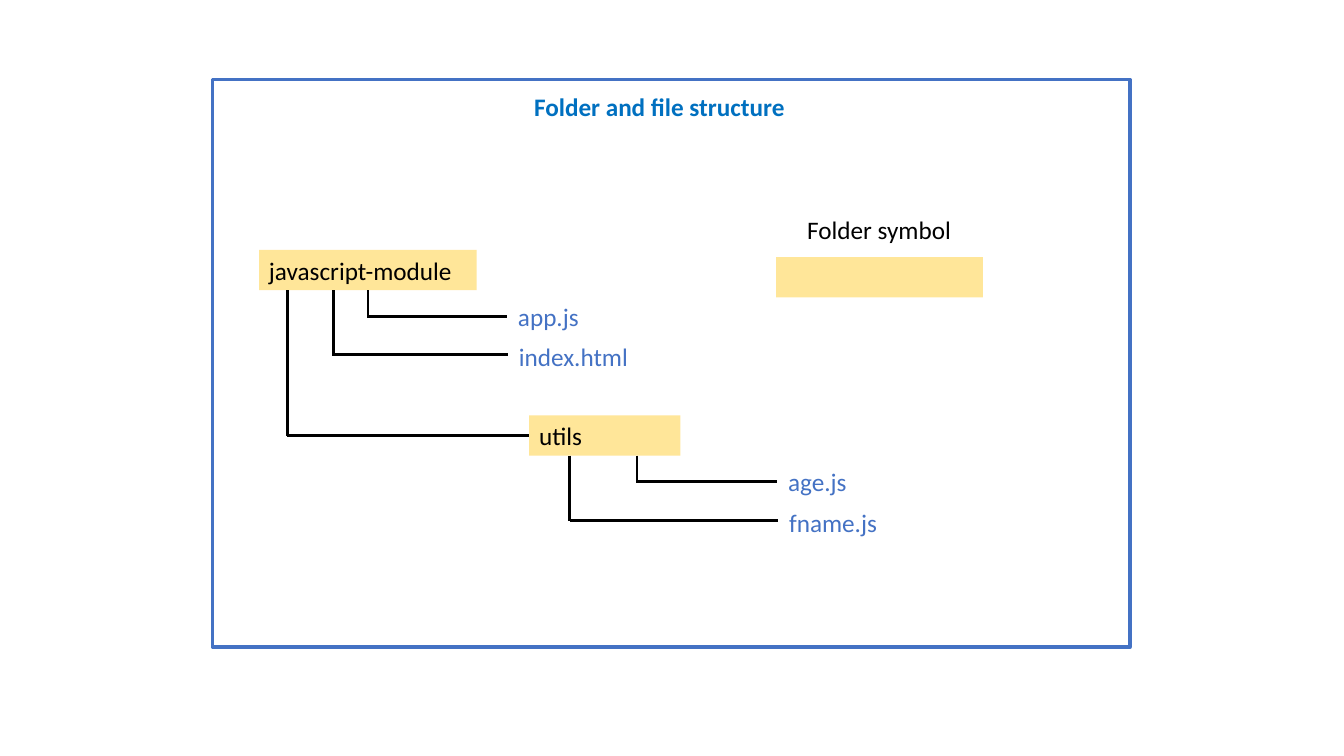
from dataclasses import dataclass

from lxml import etree
from pptx import Presentation, util as u
from pptx.dml.color import RGBColor
from pptx.enum import shapes, text
from pptx.oxml import ns
from pptx.shapes.autoshape import Shape
from pptx.shapes.connector import Connector

# One grid cell is a tenth of an inch; the slide has 133.33 columns and 75 rows.
CELL = u.Inches(0.1)
COLS, ROWS = 133.33, 75
BAR = 4  # rows in a folder bar or a line of text
HEX = {"ink": "000000", "paper": "FFFFFF", "blue": "4472C4",
       "title": "0070C0", "folder": "FFE699"}


@dataclass
class File:
    name: str
    drop: float  # column where the branch leaves its folder
    end: float  # column where the branch stops
    wide: float


@dataclass
class Folder:
    name: str
    left: float
    top: float
    wide: float
    files: tuple[File, ...] = ()


ROOT = Folder("javascript-module", 25.7, 24.8, 21.6, (
    File("app.js", 36.5, 50.3, 8.1),
    File("index.html", 33.1, 50.4, 13)))
UTILS = Folder("utils", 52.5, 41.2, 15, (
    File("age.js", 63.2, 77.1, 7.9),
    File("fname.js", 56.5, 77.2, 10.8)))
KEY = Folder("", 77, 25.5, 20.5)
ROOT_DROP = 28.5
FIRST_BEND, FIRST_NAME = 6.6, 4.6  # rows below the folder's top
BEND_STEP, NAME_STEP = 3.8, 4

deck = Presentation()
deck.slide_width, deck.slide_height = int(COLS * CELL), int(ROWS * CELL)
slide = deck.slides.add_slide(deck.slide_layouts[6])


def cells(*counts: float) -> list[int]:
    return [round(n * CELL) for n in counts]


def tint(key: str) -> RGBColor:
    return RGBColor.from_string(HEX[key])


def write(box: Shape, words: str, color: str, bold: bool = False) -> None:
    frame = box.text_frame
    frame.text = words
    para = frame.paragraphs[0]
    para.alignment = text.PP_ALIGN.LEFT
    for run in para.runs:
        font = run.font
        font.name, font.size, font.bold = "Calibri", u.Pt(18), bold
        font.color.rgb = tint(color)


def label(words: str, left: float, top: float, wide: float,
          color: str, bold: bool = False) -> None:
    box = slide.shapes.add_textbox(*cells(left, top, wide, BAR))
    write(box, words, color, bold)
    box.text_frame.word_wrap = False
    box.text_frame.auto_size = text.MSO_AUTO_SIZE.SHAPE_TO_FIT_TEXT


def block(left: float, top: float, wide: float, high: float, fill: str) -> Shape:
    box = slide.shapes.add_shape(shapes.MSO_SHAPE.RECTANGLE,
                                 *cells(left, top, wide, high))
    box.shadow.inherit = False
    box.fill.solid()
    box.fill.fore_color.rgb = tint(fill)
    box.line.fill.background()
    return box


def stroke(x1: float, y1: float, x2: float, y2: float) -> Connector:
    line = slide.shapes.add_connector(shapes.MSO_CONNECTOR.STRAIGHT,
                                      *cells(x1, y1, x2, y2))
    line.line.color.rgb = tint("ink")
    line.line.width = u.Pt(2)
    etree.SubElement(line.element.spPr, ns.qn("a:effectLst"))
    return line


def branch(folder: Folder, drop: float, bend: float, end: float) -> Connector:
    """Draw an elbow below a folder and return its level part."""
    stroke(drop, folder.top + BAR, drop, bend + 0.1)
    return stroke(drop, bend, end, bend)


def draw(folder: Folder) -> Shape:
    """Draw a folder bar with its files branching off below."""
    bar = block(folder.left, folder.top, folder.wide, BAR, "folder")
    if folder.name:
        write(bar, folder.name, "ink")
    for i, file in enumerate(folder.files):
        branch(folder, file.drop, folder.top + FIRST_BEND + i * BEND_STEP, file.end)
        label(file.name, file.end + 0.1, folder.top + FIRST_NAME + i * NAME_STEP,
              file.wide, "blue")
    return bar


def main() -> None:
    panel = block(21.1, 7.9, 91, 56.3, "paper")
    panel.line.color.rgb = tint("blue")
    panel.line.width = u.Pt(2.5)
    label("Folder and file structure", 52, 8.6, 27.1, "title", bold=True)
    draw(ROOT)
    utils = draw(UTILS)
    link = branch(ROOT, ROOT_DROP, UTILS.top + BAR / 2, UTILS.left)
    link.end_connect(utils, 1)
    label("Folder symbol", 79.1, 20.8, 16.4, "ink")
    draw(KEY)
    deck.save("out.pptx")


if __name__ == "__main__":
    main()
